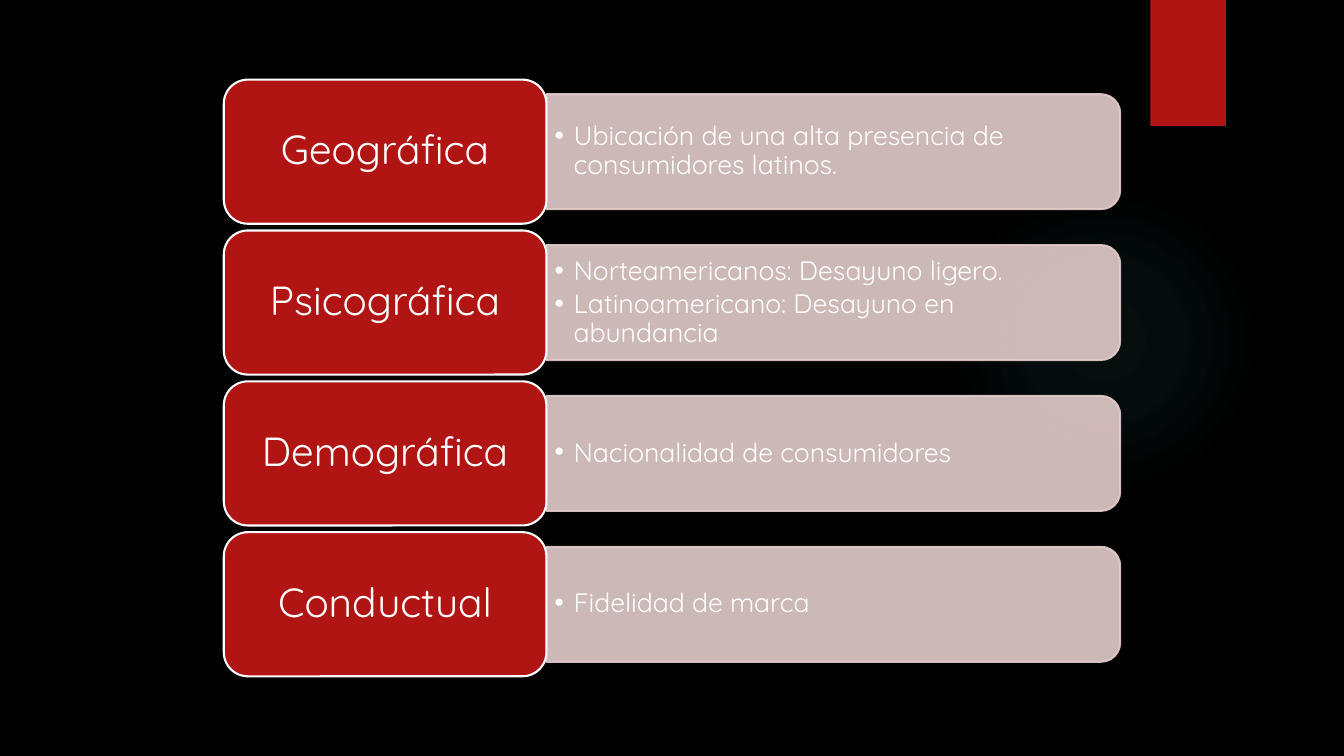
from lxml import etree
from pptx import Presentation
from pptx import util as u
from pptx.dml.color import RGBColor
from pptx.enum import shapes, text
from pptx.oxml import parse_xml
from pptx.oxml.ns import nsdecls, qn

RED, PINK, WHITE, GLOW = "B01513", "E4CCCC", "FFFFFF", "50B9C1"
SEGMENTS = [
    ("Geográfica", ["Ubicación de una alta presencia de consumidores latinos."]),
    ("Psicográfica", ["Norteamericanos: Desayuno ligero.",
                      "Latinoamericano: Desayuno en abundancia"]),
    ("Demográfica", ["Nacionalidad de consumidores"]),
    ("Conductual", ["Fidelidad de marca"]),
]
TOP, PITCH = 0.79, (5.28 - 0.79) / 3
LABEL_X, LABEL_W, LABEL_H = 2.22, 3.2, 1.43
PANEL_W, PANEL_H = 5.69, 1.14


def color(value):
    return RGBColor.from_string(value)


def set_alpha(fill, percent):
    clr = fill._xPr.find(".//" + qn("a:srgbClr"))
    etree.SubElement(clr, qn("a:alpha")).set("val", str(percent * 1000))


def write(tf, lines, size, inset=(0.08, 0.04), align=text.PP_ALIGN.LEFT,
          after=0, bullet=None):
    tf.word_wrap = True
    tf.auto_size = text.MSO_AUTO_SIZE.NONE
    tf.vertical_anchor = text.MSO_ANCHOR.MIDDLE
    tf.margin_left = tf.margin_right = u.Inches(inset[0])
    tf.margin_top = tf.margin_bottom = u.Inches(inset[1])
    for i, line in enumerate(lines):
        p = tf.add_paragraph() if i else tf.paragraphs[0]
        p.alignment = align
        p.line_spacing = 0.9
        p.space_before, p.space_after = u.Pt(0), u.Pt(after)
        if bullet:
            pPr = p._p.get_or_add_pPr()
            pPr.set("marL", str(u.Inches(0.19)))
            pPr.set("indent", str(-u.Inches(0.19)))
            etree.SubElement(pPr, qn("a:buChar")).set("char", bullet)
        r = p.add_run()
        r.text = line
        r.font.name, r.font.size, r.font.bold = "Quicksand", u.Pt(size), False
        r.font.color.rgb = color(WHITE)


class Deck:
    def __init__(self, prs, s):
        self.prs, self.s = prs, s
        s.background.fill.solid()
        s.background.fill.fore_color.rgb = color("000000")

    def shape(self, kind, x, y, w, h, fill=None, line=None, alpha=None):
        sp = self.s.shapes.add_shape(kind, *map(u.Inches, (x, y, w, h)))
        sp.shadow.inherit = False
        if fill:
            sp.fill.solid()
            sp.fill.fore_color.rgb = color(fill)
        else:
            sp.fill.background()
        if line:
            sp.line.color.rgb = color(line)
            sp.line.width = u.Pt(1.5)
        else:
            sp.line.fill.background()
        if alpha:
            set_alpha(sp.fill, alpha)
            set_alpha(sp.line.fill, alpha)
        return sp

    def glow(self, x, y, size, stops):
        sp = self.shape(shapes.MSO_SHAPE.OVAL, x, y, size, size)
        gs = "".join(
            f'<a:gs pos="{pos * 1000}"><a:srgbClr val="{GLOW}">'
            f'<a:alpha val="{alpha * 1000}"/></a:srgbClr></a:gs>'
            for pos, alpha in stops)
        grad = parse_xml(
            f'<a:gradFill {nsdecls("a")}><a:gsLst>{gs}</a:gsLst><a:path path="circle">'
            '<a:fillToRect l="50000" t="50000" r="50000" b="50000"/></a:path></a:gradFill>')
        spPr = sp.element.spPr
        spPr.replace(spPr.find(qn("a:noFill")), grad)

    def panel(self, x, y, w, h):
        sp = self.shape(shapes.MSO_SHAPE.ROUND_2_SAME_RECTANGLE,
                        x + (w - h) / 2, y + (h - w) / 2, h, w, PINK, PINK, 90)
        sp.rotation = 90
        return sp

    def bullets(self, body, panel, lines, x, y, w, h):
        body.left, body.top, body.width, body.height = map(u.Inches, (x, y, w, h))
        write(body.text_frame, lines, 19, after=3, bullet="•")
        panel.element.addnext(body.element)

    def label(self, caption, x, y, w, h):
        sp = self.shape(shapes.MSO_SHAPE.ROUNDED_RECTANGLE, x, y, w, h, RED, WHITE)
        write(sp.text_frame, [caption], 29, inset=(0.12, 0.06),
              align=text.PP_ALIGN.CENTER)


def main():
    prs = Presentation()
    prs.slide_width, prs.slide_height = u.Inches(13.33), u.Inches(7.5)
    s = prs.slides.add_slide(prs.slide_layouts[4])
    title = s.shapes.title.element
    title.getparent().remove(title)
    bodies = list(s.placeholders)
    deck = Deck(prs, s)
    deck.glow(9.41, 1.83, 3.08, [(0, 7), (36, 6), (69, 0)])
    deck.shape(shapes.MSO_SHAPE.RECTANGLE, 11.41, 0, 0.75, 1.25, RED)
    panel_x = LABEL_X + LABEL_W
    for i, ((caption, lines), body) in enumerate(zip(SEGMENTS, bodies)):
        y = TOP + i * PITCH
        panel = deck.panel(panel_x, y + (LABEL_H - PANEL_H) / 2, PANEL_W, PANEL_H)
        deck.bullets(body, panel, lines, panel_x, y + 0.2, 5.63, 1.03)
        deck.label(caption, LABEL_X, y, LABEL_W, LABEL_H)
    prs.save("out.pptx")


if __name__ == "__main__":
    main()
